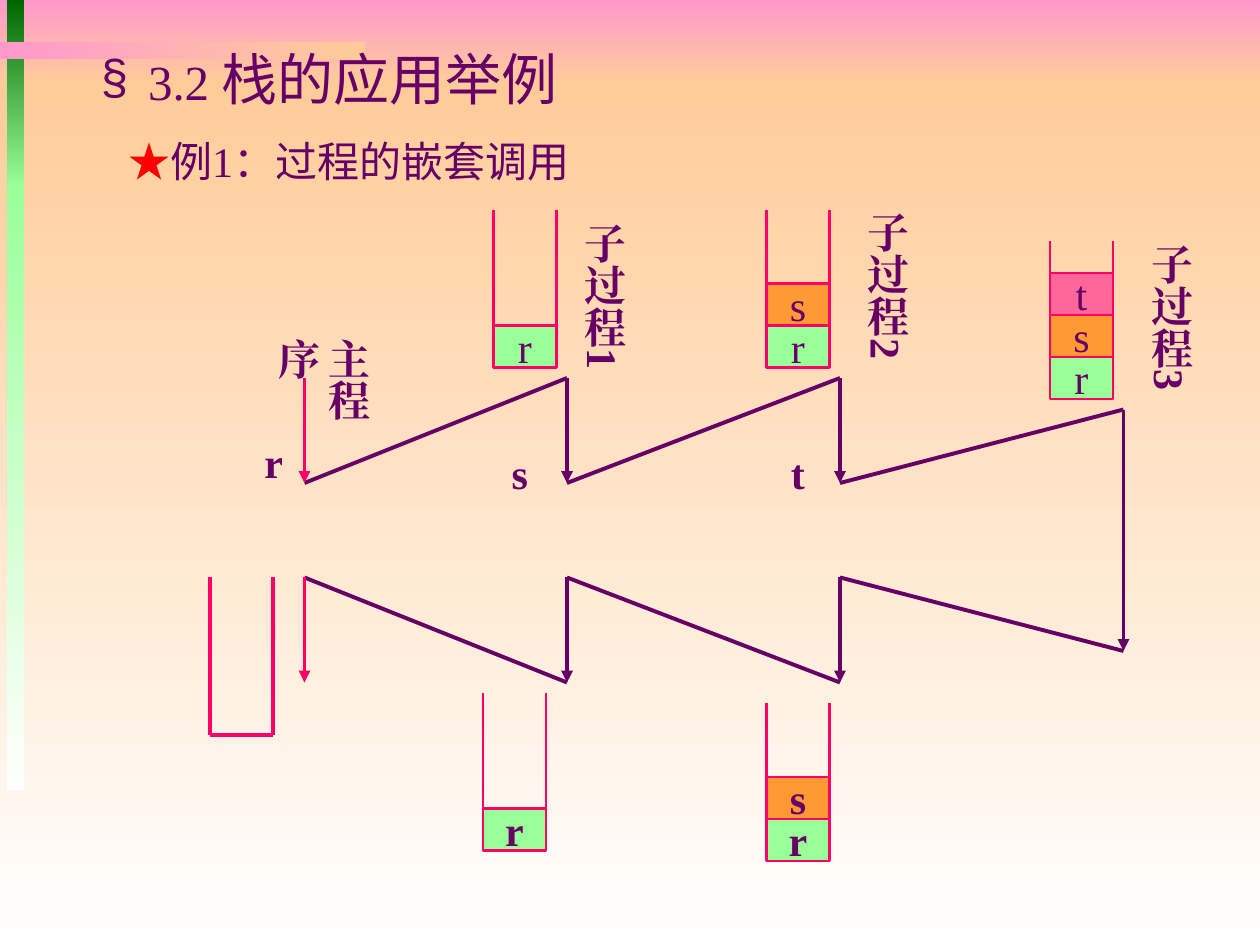
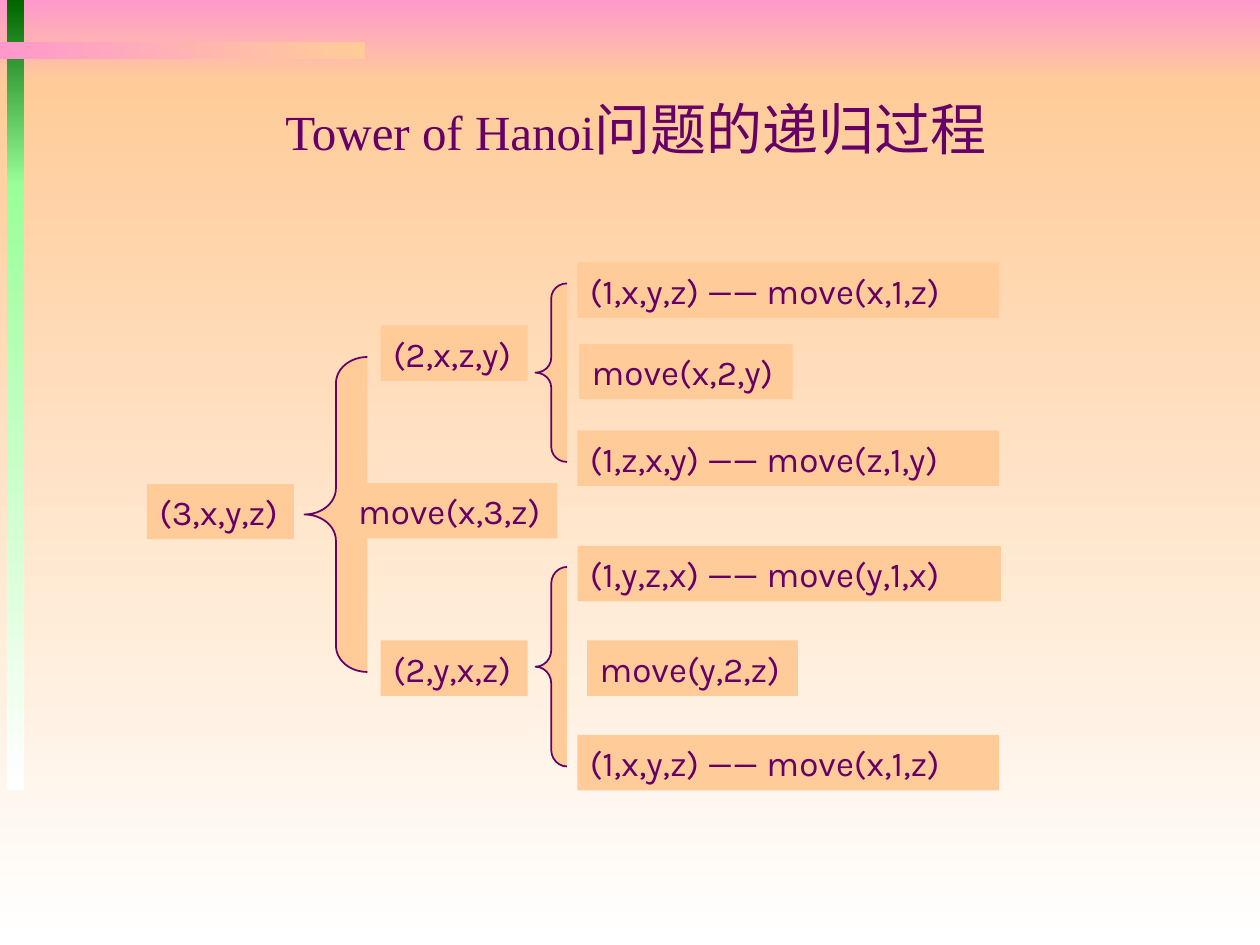
from itertools import pairwise

from lxml import etree
from pptx import Presentation
from pptx.dml.color import RGBColor
from pptx.enum import shapes, text
from pptx.oxml import ns
from pptx.util import Pt

COLORS = {
    "plum": "660066", "crimson": "FF0066", "red": "FF0000",
    "pink": "FF99CC", "peach": "FFCC99", "white": "FFFFFF",
    "forest": "006600", "mint": "99FF99", "orange": "FF9933", "rose": "FF6699",
}
SERIF, SANS, CONDENSED, KARLA = "Times New Roman", "Arial", "Roboto Condensed", "Karla"
CELL_COLORS = {"r": "mint", "s": "orange", "t": "rose"}
CELL_WIDTH, CELL_HEIGHT, STACK_HEIGHT = 36, 24, 90
BOX_HEIGHT = 31.7


def rgb(name):
    return RGBColor.from_string(COLORS[name])


def points(*values):
    return [Pt(value) for value in values]


def add_xml(parent, tag, **attributes):
    return etree.SubElement(parent, ns.qn(tag), attributes)


# Text
def format_run(run, size, font, color="plum", bold=False):
    run.font.size = Pt(size)
    run.font.name = font
    run.font.bold = bold
    run.font.color.rgb = rgb(color)
    add_xml(run.font._element, "a:ea", typeface=font)


def add_runs(paragraph, *runs):
    for content, *style in runs:
        run = paragraph.add_run()
        run.text = content
        format_run(run, *style)


def place(placeholder, left, top, width, height, anchor, align):
    placeholder.left, placeholder.top, placeholder.width, placeholder.height = points(
        left, top, width, height)
    frame = placeholder.text_frame
    frame.auto_size = text.MSO_AUTO_SIZE.NONE
    frame.vertical_anchor = anchor
    paragraph = frame.paragraphs[0]
    paragraph.alignment = align
    return paragraph


def set_indent(paragraph, hanging):
    properties = paragraph._p.get_or_add_pPr()
    properties.set("marL", str(Pt(hanging)))
    properties.set("indent", str(-Pt(hanging)))
    return properties


def add_label(slide, content, left, top, width, height, align=None, vertical=False):
    box = slide.shapes.add_textbox(*points(left, top, width, height))
    frame = box.text_frame
    frame.word_wrap = True
    frame.auto_size = text.MSO_AUTO_SIZE.SHAPE_TO_FIT_TEXT
    if vertical:
        frame._txBody.bodyPr.set("vert", "eaVert")
        frame.margin_left, frame.margin_top, frame.margin_right, frame.margin_bottom = points(
            3.6, 7.2, 3.6, 7.2)
    frame.text = content
    frame.paragraphs[0].alignment = align
    format_run(frame.paragraphs[0].runs[0], 24, SERIF, bold=True)


# Shapes and lines
def add_line(slide, start, end, color="plum", weight=2.25, arrow=False):
    line = slide.shapes.add_connector(
        shapes.MSO_CONNECTOR.STRAIGHT, *points(*start, *end))
    line.line.color.rgb = rgb(color)
    line.line.width = Pt(weight)
    if arrow:
        add_xml(line.line._get_or_add_ln(), "a:tailEnd", type="triangle")
    add_xml(line.element.spPr, "a:effectLst")


def add_gradient(slide, left, top, width, height, first, last, angle=270):
    bar = slide.shapes.add_shape(
        shapes.MSO_SHAPE.RECTANGLE, *points(left, top, width, height))
    bar.shadow.inherit = False
    bar.line.fill.background()
    bar.fill.gradient()
    bar.fill.gradient_angle = angle
    for stop, color in zip(bar.fill.gradient_stops, (first, last)):
        stop.color.rgb = rgb(color)
    return bar


def decorate_master(presentation, slide):
    """Draw the shared bands and move them to the back of the slide master."""
    bands = [
        add_gradient(slide, 0, 0, 720, 48, "pink", "peach"),
        add_gradient(slide, 0, 48, 720, 492, "peach", "white"),
        add_gradient(slide, 4, 0, 10, 106.5, "forest", "mint"),
        add_gradient(slide, 4, 105, 10, 346.5, "mint", "white"),
        add_gradient(slide, 0, 24, 208.5, 10, "pink", "peach", angle=0),
    ]
    tree = presentation.slide_master.shapes.element
    for index, band in enumerate(bands):
        band.element.nvSpPr.cNvPr.set("id", str(100 + index))
        tree.insert(2 + index, band.element)


def add_stack(slide, left, top, items="", bold=False, weight=1.5):
    bottom, right = top + STACK_HEIGHT, left + CELL_WIDTH
    for level, item in enumerate(items, start=1):
        cell = slide.shapes.add_shape(
            shapes.MSO_SHAPE.RECTANGLE,
            *points(left, bottom - level * CELL_HEIGHT, CELL_WIDTH, CELL_HEIGHT))
        cell.shadow.inherit = False
        cell.fill.solid()
        cell.fill.fore_color.rgb = rgb(CELL_COLORS[item])
        cell.line.color.rgb = rgb("crimson")
        cell.line.width = Pt(weight)
        frame = cell.text_frame
        frame.word_wrap = False
        frame.vertical_anchor = text.MSO_ANCHOR.MIDDLE
        frame.text = item
        frame.paragraphs[0].alignment = text.PP_ALIGN.CENTER
        format_run(frame.paragraphs[0].runs[0], 24, SERIF, bold=bold)
    for x in (left, right):
        add_line(slide, (x, bottom), (x, top), "crimson", weight)
    if not items:
        add_line(slide, (left, bottom), (right, bottom), "crimson", weight)


def add_call(slide, content, left, top, width):
    box = slide.shapes.add_textbox(*points(left, top, width, BOX_HEIGHT))
    box.fill.solid()
    box.fill.fore_color.rgb = rgb("peach")
    frame = box.text_frame
    frame.word_wrap = True
    frame.vertical_anchor = text.MSO_ANCHOR.MIDDLE
    frame.text = content
    format_run(frame.paragraphs[0].runs[0], 20, KARLA)


def add_brace(slide, left, top, width, height):
    brace = slide.shapes.add_shape(
        shapes.MSO_SHAPE.LEFT_BRACE, *points(left, top, width, height))
    brace.adjustments[0] = height / 12 / width
    brace.shadow.inherit = False
    brace.fill.solid()
    brace.fill.fore_color.rgb = rgb("peach")
    brace.line.color.rgb = rgb("plum")
    brace.line.width = Pt(1)


# Slides
def build_nested_calls(slide):
    title, body = slide.placeholders
    heading = place(title, 50.4, 21.6, 669.6, 45.4,
                    text.MSO_ANCHOR.TOP, text.PP_ALIGN.LEFT)
    properties = set_indent(heading, 27)
    add_xml(add_xml(properties, "a:buClr"), "a:srgbClr", val=COLORS["plum"])
    add_xml(properties, "a:buFont", typeface=SANS)
    add_xml(properties, "a:buChar", char="§")
    add_runs(heading, ("3.2 ", 28, SERIF), ("栈的应用举例", 32, SANS))

    example = place(body, 66, 74, 389, 39.6, text.MSO_ANCHOR.TOP, text.PP_ALIGN.LEFT)
    add_xml(set_indent(example, 0), "a:buNone")
    add_runs(example, ("★", 24, SANS, "red"), ("例", 24, SANS),
             ("1", 24, SERIF), ("：过程的嵌套调用", 24, SANS))

    # Calls run right along the top, returns run left along the bottom
    route = [(174, 276), (324, 216), (324, 276), (480, 216), (480, 276), (642, 234),
             (642, 372), (480, 330), (480, 390), (324, 330), (324, 390), (174, 330)]
    for start, end in pairwise(route):
        add_line(slide, start, end, arrow=start[0] == end[0])
    for top in (216, 330):
        add_line(slide, (174, top), (174, top + 60), "crimson", arrow=True)

    # Stack contents at each call and return
    for left, top, items in ((282, 120, "r"), (438, 120, "rs"), (600, 138, "rst")):
        add_stack(slide, left, top, items)
    for left, top, items in ((276, 396, "r"), (438, 402, "rs")):
        add_stack(slide, left, top, items, bold=True)
    add_stack(slide, 120, 330, weight=2.25)

    # Procedure names and return addresses
    center = text.PP_ALIGN.CENTER
    add_label(slide, "主程序", 174, 186, 43.2, 84, vertical=True)
    for number, (left, top) in enumerate(((320, 120), (482, 114), (644, 132)), start=1):
        add_label(slide, f"子过程{number}", left, top, 43.2, 108, center, vertical=True)
    add_label(slide, "r", 144, 246, 24, 36)
    add_label(slide, "s", 276, 252, 42, 36, center)
    add_label(slide, "t", 438, 252, 36, 36, center)


def build_hanoi(slide):
    heading = place(slide.shapes.title, 57.6, 41, 612, 64.8,
                    text.MSO_ANCHOR.MIDDLE, text.PP_ALIGN.CENTER)
    add_runs(heading, ("Tower of Hanoi", 28, SERIF), ("问题的递归过程", 32, CONDENSED))

    for brace in ((174, 204, 36, 180), (306, 162, 18, 102), (306, 324, 18, 114)):
        add_brace(slide, *brace)
    calls = [
        ("(3,x,y,z)", 84, 276.5, 84),
        ("(2,x,z,y)", 217.5, 186, 84),
        ("move(x,3,z)", 197.5, 276, 121),
        ("(2,y,x,z)", 217.5, 366, 84),
        ("(1,x,y,z) —— move(x,1,z)", 330, 150, 241),
        ("move(x,2,y)", 331, 196.5, 122),
        ("(1,z,x,y) —— move(z,1,y)", 330, 246, 241),
        ("(1,y,z,x) —— move(y,1,x)", 330, 312, 242),
        ("move(y,2,z)", 335.5, 366, 120.5),
        ("(1,x,y,z) —— move(x,1,z)", 330, 420, 241),
    ]
    for call in calls:
        add_call(slide, *call)


def main():
    presentation = Presentation()
    presentation.slide_width, presentation.slide_height = points(720, 540)
    title_and_body, title_only = (presentation.slide_layouts[i] for i in (1, 5))
    nested_calls = presentation.slides.add_slide(title_and_body)
    decorate_master(presentation, nested_calls)
    build_nested_calls(nested_calls)
    build_hanoi(presentation.slides.add_slide(title_only))
    presentation.save("out.pptx")


if __name__ == "__main__":
    main()
